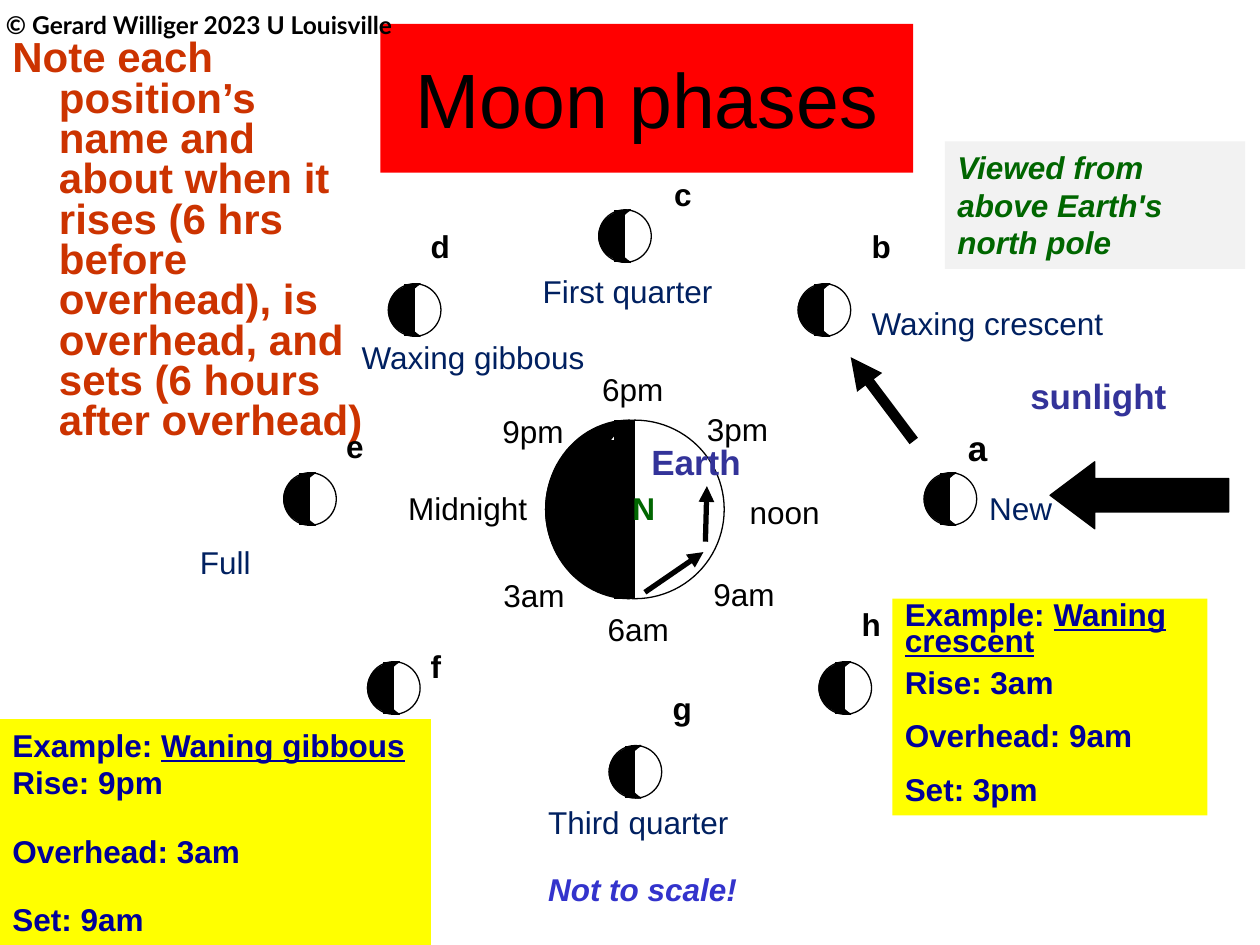
from dataclasses import dataclass

import pptx
import pptx.dml.color
import pptx.enum.shapes
import pptx.enum.text
import pptx.oxml.ns
import pptx.util
from lxml import etree

Cm, Pt = pptx.util.Cm, pptx.util.Pt
SHAPE = pptx.enum.shapes.MSO_SHAPE
ANCHOR = pptx.enum.text.MSO_ANCHOR
ALIGN = pptx.enum.text.PP_ALIGN
qn = pptx.oxml.ns.qn


@dataclass(frozen=True)
class Theme:
    black: str = "000000"
    white: str = "FFFFFF"
    red: str = "FF0000"
    yellow: str = "FFFF00"
    grey: str = "F2F2F2"
    note: str = "CC3300"
    example: str = "000099"
    green: str = "006600"
    light: str = "333399"
    scale: str = "3333CC"
    phase: str = "002060"
    title_size: int = 44
    note_size: int = 24
    large_size: int = 20
    body_size: int = 18
    small_size: int = 14
    font: str = "Arial"
    credit_font: str = "Lato"


theme = Theme()
rgb = pptx.dml.color.RGBColor.from_string

presentation = pptx.Presentation()
presentation.slide_width, presentation.slide_height = Cm(25.4), Cm(19.05)
slide = presentation.slides.add_slide(presentation.slide_layouts[6])
shapes = slide.shapes


def add_text(lines, left, top, width, height=1.02, *, size=theme.body_size,
             color=theme.black, font=theme.font, bold=False, italic=False, fill=None,
             align=ALIGN.LEFT, anchor=ANCHOR.TOP, inset=0.13, hanging=0,
             underlined="", gaps=(0,), spacings=(1,)):
    """Add one paragraph per line; underlined text follows the first line.

    gaps and spacings hold one value per line; the last one also serves later lines.
    """
    box = shapes.add_textbox(Cm(left), Cm(top), Cm(width), Cm(height))
    if fill:
        box.fill.solid()
        box.fill.fore_color.rgb = rgb(fill)
    frame = box.text_frame
    frame.word_wrap = True
    frame.vertical_anchor = anchor
    frame.margin_left = frame.margin_right = Cm(0.25)
    frame.margin_top = frame.margin_bottom = Cm(inset)
    for index, line in enumerate(lines.split("\n")):
        paragraph = frame.paragraphs[0] if index == 0 else frame.add_paragraph()
        paragraph.alignment = align
        paragraph.space_before = Pt(gaps[min(index, len(gaps) - 1)])
        paragraph.line_spacing = float(spacings[min(index, len(spacings) - 1)])
        if hanging:
            properties = paragraph._p.get_or_add_pPr()
            properties.set("marL", str(Cm(hanging)))
            properties.set("indent", str(-Cm(hanging)))
        paragraph.add_run().text = line
        if underlined and index == 0:
            run = paragraph.add_run()
            run.text = underlined
            run.font.underline = True
        for run in paragraph.runs:
            run.font.name, run.font.size = font, Pt(size)
            run.font.bold, run.font.italic = bold, italic
            run.font.color.rgb = rgb(color)


def add_line(start_x, start_y, end_x, end_y, width=6, arrow=False):
    line = shapes.add_connector(pptx.enum.shapes.MSO_CONNECTOR.STRAIGHT,
                                Cm(start_x), Cm(start_y), Cm(end_x), Cm(end_y))
    line.line.width = Pt(width)
    line.line.color.rgb = rgb(theme.black)
    if arrow:
        etree.SubElement(line.line._get_or_add_ln(), qn("a:tailEnd"), type="triangle")
    etree.SubElement(line._element.spPr, qn("a:effectLst"))


# Boxes behind the diagram
add_text("Example: \nRise: 9pm\nOverhead: 3am\nSet: 9am", 0, 14.5, 8.69, 4.55,
         underlined="Waning gibbous", color=theme.example, bold=True,
         fill=theme.yellow, gaps=(0, 0, 17.5))
add_text("Moon phases", 7.67, 0.48, 10.74, 3, size=theme.title_size,
         fill=theme.red, align=ALIGN.CENTER, anchor=ANCHOR.MIDDLE)
add_text("Note each position’s name and about when it rises (6 hrs before overhead), "
         "is overhead, and sets (6 hours after overhead)", 0, 0.69, 7.82, 10,
         size=theme.note_size, color=theme.note, bold=True, hanging=0.94,
         spacings=(0.8,))

# Letter, moon position, letter position and size, phase name with position and width
MOON, EARTH = 1.06, 3.6
EARTH_X, EARTH_Y = 11, 8.47
phases = [
    ("a", (18.63, 9.53), (19.26, 8.47), theme.large_size, ("New", 19.69, 9.73, 2.11)),
    ("b", (16.09, 5.72), (17.32, 4.45), theme.body_size,
     ("Waxing crescent", 17.32, 5.99, 5.23)),
    ("c", (12.07, 4.23), (13.34, 3.39), theme.body_size,
     ("First quarter", 10.69, 5.36, 3.96)),
    ("d", (7.83, 5.72), (8.43, 4.45), theme.body_size,
     ("Waxing gibbous", 7.04, 6.68, 5.05)),
    ("e", (5.72, 9.53), (6.73, 8.47), theme.body_size, ("Full", 3.78, 10.82, 1.55)),
    ("f", (7.41, 13.34), (8.43, 12.91), theme.body_size, None),
    ("g", (12.28, 15.03), (13.31, 13.76), theme.body_size,
     ("Third quarter", 10.8, 16.05, 4.19)),
    ("h", (16.51, 13.34), (17.12, 12.07), theme.body_size, None),
]

# Earth and moons: a white disc, its dark half, and the sun's arrow
solids = [(SHAPE.OVAL, EARTH_X, EARTH_Y, EARTH, EARTH, theme.white, ()),
          (SHAPE.MOON, EARTH_X, EARTH_Y, 1.69, EARTH, theme.black, (0.5,)),
          (SHAPE.RECTANGLE, 11.85, 8.89, 0.64, 2.75, theme.black, ()),
          (SHAPE.LEFT_ARROW, 21.17, 9.31, 3.6, 1.35, theme.black, (0.5, 0.667))]
for _, (x, y), *_ in phases:
    solids += [(SHAPE.OVAL, x, y, MOON, MOON, theme.white, ()),
               (SHAPE.MOON, x, y, 0.64, MOON, theme.black, (0.5,))]
for kind, x, y, width, height, color, adjustments in solids:
    shape = shapes.add_shape(kind, Cm(x), Cm(y), Cm(width), Cm(height))
    shape.shadow.inherit = False
    shape.fill.solid()
    shape.fill.fore_color.rgb = rgb(color)
    shape.line.color.rgb = rgb(theme.black)
    shape.line.width = Pt(0.75)
    for index, value in enumerate(adjustments):
        shape.adjustments[index] = value

# Thick strokes fill the dark halves up to the day-night line
for x, top, bottom in ((12.28, 8.89, 11.85), (12.49, EARTH_Y, EARTH_Y + EARTH),
                       (12.7, EARTH_Y, EARTH_Y + EARTH)):
    add_line(x, top, x, bottom)

for letter, (x, y), (letter_x, letter_y), size, name in phases:
    add_line(x + 0.42, y, x + 0.42, y + MOON)
    add_text(letter, letter_x, letter_y, 1.07, size=size, bold=True)
    if name:
        add_text(*name, color=theme.phase)

# Orbit and rotation directions
add_line(18.42, 8.89, 17.15, 7.2, arrow=True)
add_line(13, 11.94, 14.18, 11.13, width=3, arrow=True)
add_line(14.22, 10.92, 14.25, 9.8, width=3, arrow=True)

# Hours around the Earth
for hour, x, y, width in (("noon", 14.86, 9.8, 2.54), ("Midnight", 7.98, 9.73, 3.43),
                          ("6pm", 11.89, 7.32, 2), ("6am", 12, 12.17, 2),
                          ("9pm", 9.88, 8.18, 2), ("3am", 9.9, 11.48, 2),
                          ("3pm", 14, 8.13, 2), ("9am", 14.13, 11.46, 2)):
    add_text(hour, x, y, width)

add_text("sunlight", 20.52, 7.42, 3.81, 1.12, size=theme.large_size,
         color=theme.light, bold=True)
add_text("Earth", 12.88, 8.76, 2.97, 1.12, size=theme.large_size,
         color=theme.light, bold=True)
add_text("N", 12.5, 9.73, 0.95, color=theme.green, bold=True)
add_text("Example: \nRise: 3am\nOverhead: 9am\nSet: 3pm", 17.99, 12.07, 6.35, 4.37,
         underlined="Waning crescent", color=theme.example, bold=True,
         fill=theme.yellow, gaps=(0, 9), spacings=(0.7, 0.7, 1))
add_text("Viewed from above Earth's north pole", 19.05, 2.85, 6.05, 2.57,
         color=theme.green, bold=True, italic=True, fill=theme.grey)
add_text("Not to scale!", 10.8, 17.4, 5.28, color=theme.scale, bold=True, italic=True)
add_text("© Gerard Williger 2023 U Louisville", -0.13, -0.08, 9.37, 1.12,
         size=theme.small_size, font=theme.credit_font, bold=True,
         anchor=ANCHOR.BOTTOM, inset=0.25)

presentation.save("out.pptx")
